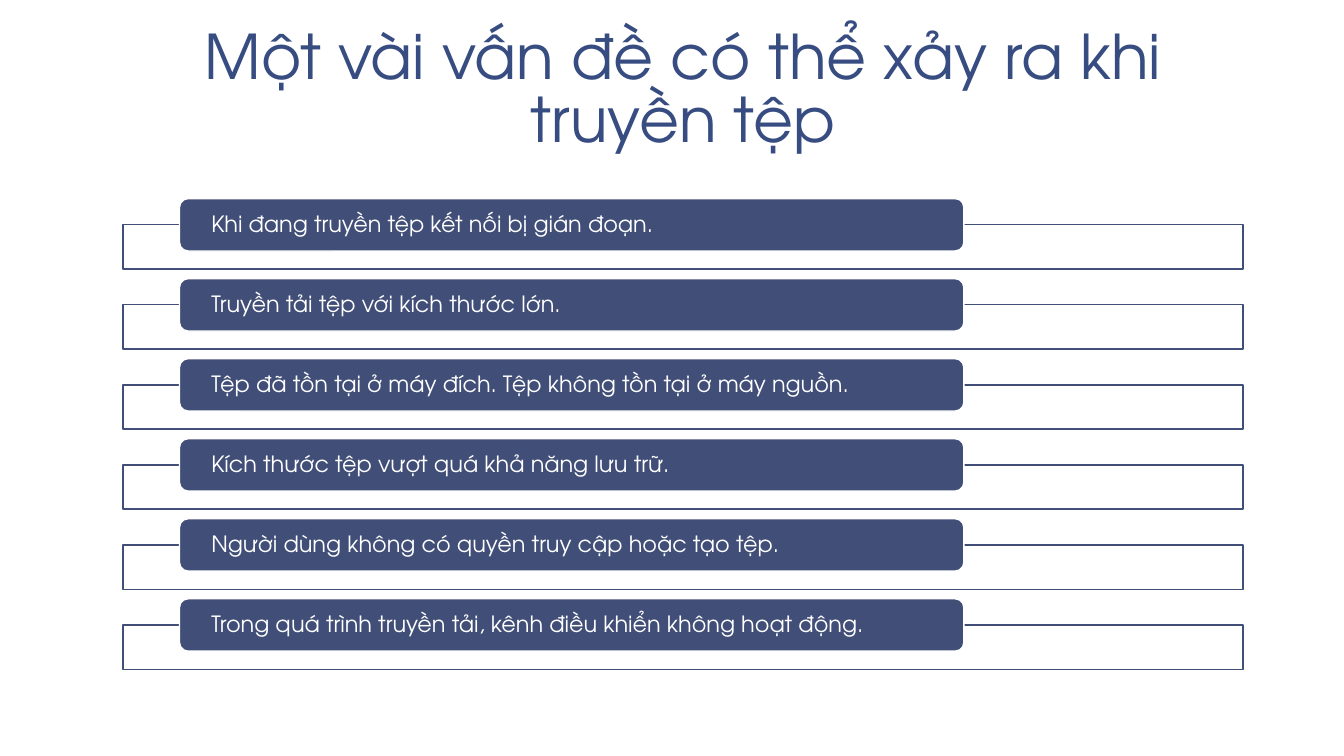
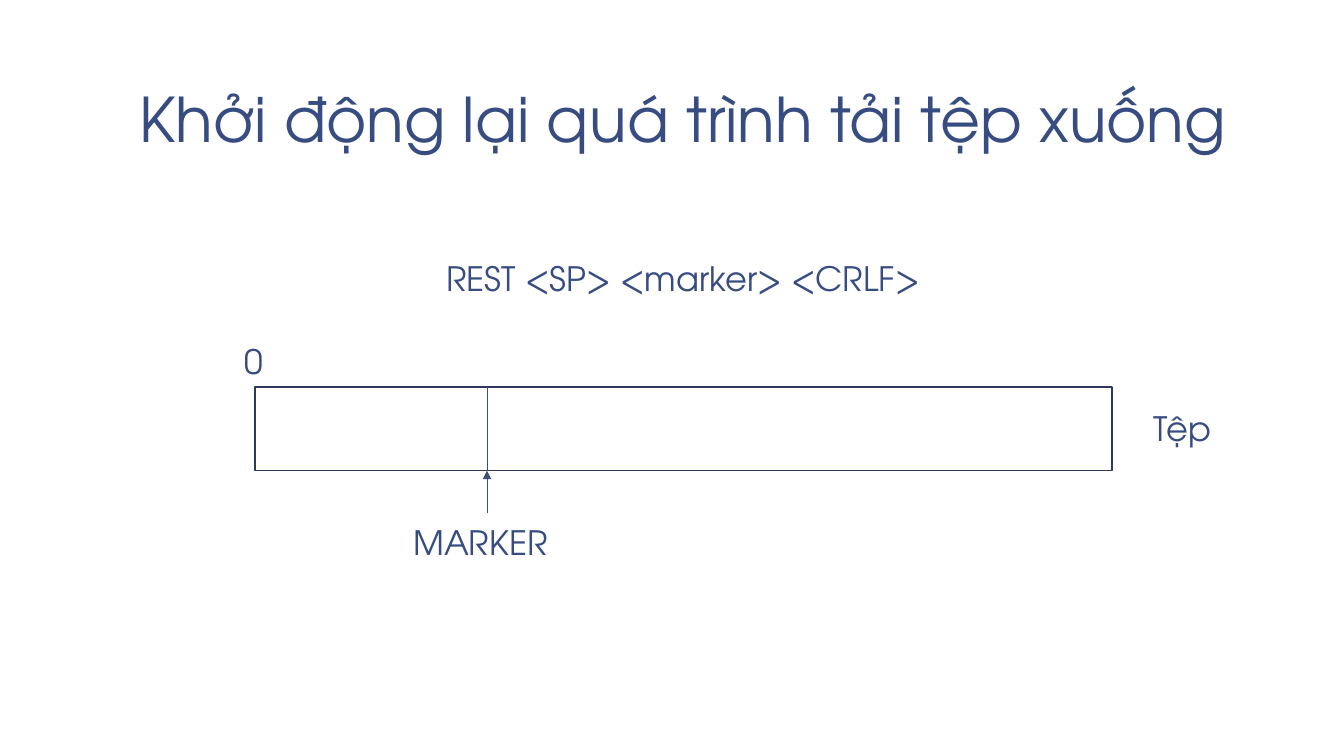
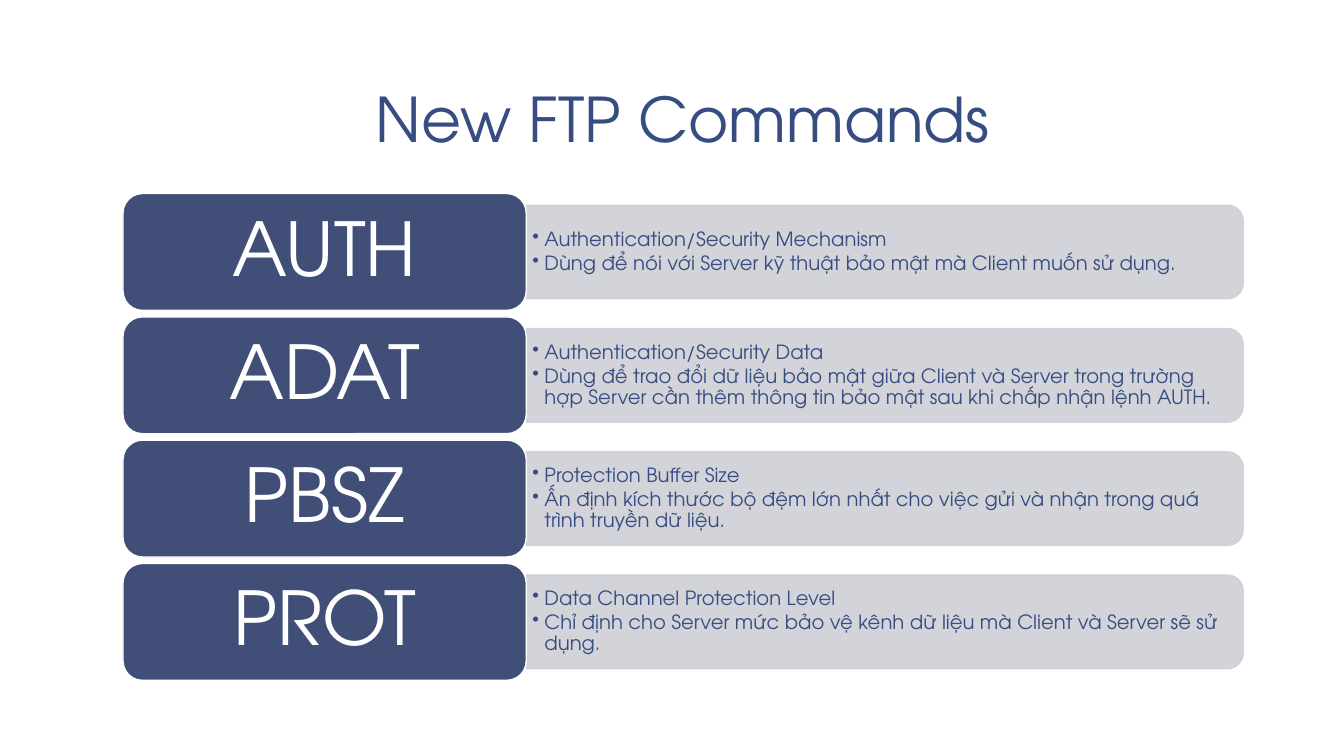
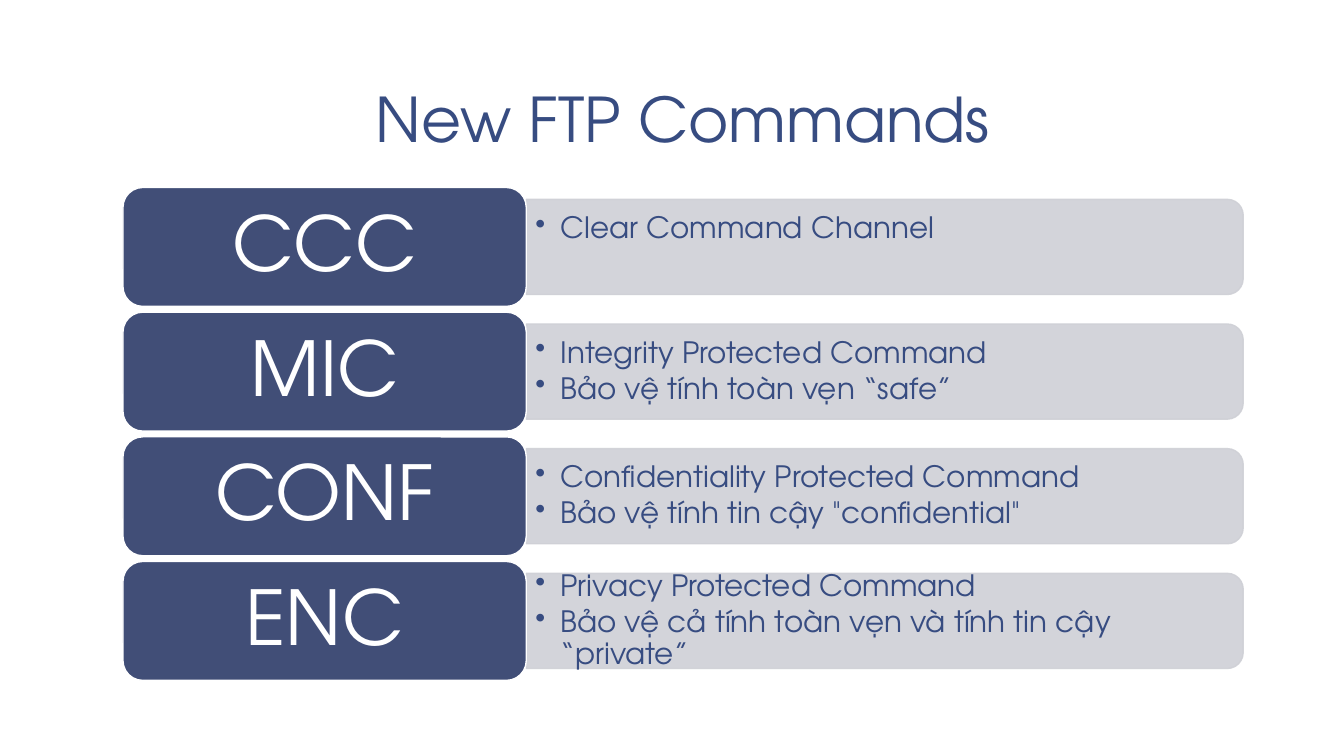
from dataclasses import dataclass

from lxml import etree
from pptx import Presentation
from pptx.dml.color import RGBColor
from pptx.enum.shapes import MSO_CONNECTOR, MSO_SHAPE
from pptx.enum.text import MSO_ANCHOR, MSO_AUTO_SIZE, PP_ALIGN
from pptx.oxml.ns import qn
from pptx.util import Inches, Pt

LEFT, CENTER = PP_ALIGN.LEFT, PP_ALIGN.CENTER
TOP, MIDDLE, BOTTOM = MSO_ANCHOR.TOP, MSO_ANCHOR.MIDDLE, MSO_ANCHOR.BOTTOM
RECTANGLE, ROUNDED = MSO_SHAPE.RECTANGLE, MSO_SHAPE.ROUNDED_RECTANGLE
TWO_ROUNDED = MSO_SHAPE.ROUND_2_SAME_RECTANGLE
STRAIGHT = MSO_CONNECTOR.STRAIGHT
NO_AUTOFIT = MSO_AUTO_SIZE.NONE
TITLE_ONLY = 5

ISSUES_TITLE = "Một vài vấn đề có thể xảy ra khi truyền tệp"
ISSUES = [
    "Khi đang truyền tệp kết nối bị gián đoạn.",
    "Truyền tải tệp với kích thước lớn.",
    "Tệp đã tồn tại ở máy đích. Tệp không tồn tại ở máy nguồn.",
    "Kích thước tệp vượt quá khả năng lưu trữ.",
    "Người dùng không có quyền truy cập hoặc tạo tệp.",
    "Trong quá trình truyền tải, kênh điều khiển không hoạt động.",
]

RESTART_TITLE = "Khởi động lại quá trình tải tệp xuống"
RESTART_LABELS = [
    ("REST <SP> <marker> <CRLF>", (1.22, 2.51, 11.11, 0.5), CENTER),
    ("MARKER", (4, 5.13, 1.67, 0.5), LEFT),
    ("0", (2.33, 3.33, 1.08, 0.5), LEFT),
    ("Tệp", (11.34, 4, 1.03, 0.5), LEFT),
]

COMMANDS_TITLE = "New FTP Commands"
SECURITY_COMMANDS = [
    ("AUTH", ["Authentication/Security Mechanism",
              "Dùng để nói với Server kỹ thuật bảo mật mà Client muốn sử dụng."]),
    ("ADAT", ["Authentication/Security Data",
              "Dùng để trao đổi dữ liệu bảo mật giữa Client và Server trong trường "
              "hợp Server cần thêm thông tin bảo mật sau khi chấp nhận lệnh AUTH."]),
    ("PBSZ", ["Protection Buffer Size",
              "Ấn định kích thước bộ đệm lớn nhất cho việc gửi và nhận trong quá "
              "trình truyền dữ liệu."]),
    ("PROT", ["Data Channel Protection Level",
              "Chỉ định cho Server mức bảo vệ kênh dữ liệu mà Client và Server sẽ sử dụng."]),
]
PROTECTED_COMMANDS = [
    ("CCC", ["Clear Command Channel"]),
    ("MIC", ["Integrity Protected Command", "Bảo vệ tính toàn vẹn “safe”"]),
    ("CONF", ["Confidentiality Protected Command",
              'Bảo vệ tính tin cậy "confidential"']),
    ("ENC", ["Privacy Protected Command",
             "Bảo vệ cả tính toàn vẹn và tính tin cậy “private”"]),
]


@dataclass(frozen=True)
class Theme:
    font: str = "TeX Gyre Adventor"
    ink: RGBColor = RGBColor(0x37, 0x4C, 0x81)
    accent: RGBColor = RGBColor(0x41, 0x4E, 0x77)
    outline: RGBColor = RGBColor(0x30, 0x3A, 0x58)
    panel: RGBColor = RGBColor(0xCF, 0xD0, 0xD6)
    white: RGBColor = RGBColor(0xFF, 0xFF, 0xFF)
    title_size: int = 44
    label_size: int = 24
    issue_size: int = 16


@dataclass(frozen=True)
class CommandStyle:
    top: float
    height: float
    name_size: int
    name_inset: float
    detail_size: int
    detail_insets: tuple
    indent: float
    line_pitch: float


THEME = Theme()
LEFT_EDGE, CONTENT_WIDTH = 1.22, 11.11
ROWS_BOTTOM = 6.75
NAME_WIDTH = 4
SECURITY_STYLE = CommandStyle(1.92, 1.16, 53, 0.22, 14, (0.06, 0.03), 0.12, 0.24)
PROTECTED_STYLE = CommandStyle(1.86, 1.18, 54, 0.23, 21, (0.09, 0.04), 0.25, 0.36)


def write(shape, lines, size, color, align=LEFT, anchor=TOP,
          insets=(0.1, 0.05), line_spacing=1.0, space_after=0):
    frame = shape.text_frame
    frame.text = "\n".join(lines)
    frame.word_wrap = True
    frame.auto_size = NO_AUTOFIT
    frame.vertical_anchor = anchor
    frame.margin_left = frame.margin_right = Inches(insets[0])
    frame.margin_top = frame.margin_bottom = Inches(insets[1])
    for para in frame.paragraphs:
        para.alignment = align
        para.line_spacing = line_spacing
        para.space_before = Pt(0)
        para.space_after = Pt(space_after)
        for span in para.runs:
            span.font.name = THEME.font
            span.font.size = Pt(size)
            span.font.color.rgb = color
    return frame


def add_page(deck, title):
    page = deck.slides.add_slide(deck.slide_layouts[TITLE_ONLY])
    box = page.shapes.title
    box.left, box.top = Inches(LEFT_EDGE), Inches(0.08)
    box.width, box.height = Inches(CONTENT_WIDTH), Inches(1.53)
    write(box, [title], THEME.title_size, THEME.ink, CENTER, BOTTOM, (0.13, 0.07), 0.85)
    return page


def add_box(page, kind, area, fill, line):
    box = page.shapes.add_shape(kind, *map(Inches, area))
    box.shadow.inherit = False
    box.fill.solid()
    box.fill.fore_color.rgb = fill
    box.line.color.rgb = line
    box.line.width = Pt(1)
    return box


def add_line(page, x, start, end, arrow=False):
    line = page.shapes.add_connector(STRAIGHT, Inches(x), Inches(start), Inches(x), Inches(end))
    line.line.color.rgb = THEME.accent
    line.line.width = Pt(0.5)
    properties = line._element.spPr
    if arrow:
        etree.SubElement(properties.find(qn("a:ln")), qn("a:tailEnd"), type="triangle")
    etree.SubElement(properties, qn("a:effectLst"))


def add_panel(page, left, middle, width, height):
    area = (left + (width - height) / 2, middle - width / 2, height, width)
    panel = add_box(page, TWO_ROUNDED, area, THEME.panel, THEME.panel)
    panel.rotation = 90
    for color in panel._element.spPr.iter(qn("a:srgbClr")):
        etree.SubElement(color, qn("a:alpha"), val="90000")


def add_bullets(frame, indent):
    for para in frame.paragraphs:
        properties = para._p.get_or_add_pPr()
        properties.set("marL", str(Inches(indent)))
        properties.set("indent", str(-Inches(indent)))
        etree.SubElement(properties, qn("a:buChar"), char="•")


def build_issues(deck):
    page = add_page(deck, ISSUES_TITLE)
    first, last = 1.97, 5.94
    pitch = (last - first) / (len(ISSUES) - 1)
    for index, issue in enumerate(ISSUES):
        top = first + index * pitch
        add_box(page, RECTANGLE, (LEFT_EDGE, top + 0.26, CONTENT_WIDTH, 0.44),
                THEME.white, THEME.accent)
        bar = add_box(page, ROUNDED, (1.78, top, 7.78, 0.52), THEME.accent, THEME.white)
        write(bar, [issue], THEME.issue_size, THEME.white, LEFT, MIDDLE, (0.29, 0), 0.9)


def build_restart(deck):
    page = add_page(deck, RESTART_TITLE)
    file_top, file_height, marker = 3.84, 0.83, 4.83
    file_bottom = file_top + file_height
    add_box(page, RECTANGLE, (2.53, file_top, 8.5, file_height), THEME.white, THEME.outline)
    add_line(page, marker, file_top, file_bottom)
    add_line(page, marker, file_bottom + 0.42, file_bottom, arrow=True)
    for text, area, align in RESTART_LABELS:
        label = page.shapes.add_textbox(*map(Inches, area))
        write(label, [text], THEME.label_size, THEME.ink, align)


def build_commands(deck, commands, style):
    page = add_page(deck, COMMANDS_TITLE)
    pitch = (ROWS_BOTTOM - style.top - style.height) / (len(commands) - 1)
    panel_left = LEFT_EDGE + NAME_WIDTH
    panel_width = CONTENT_WIDTH - NAME_WIDTH
    panel_height = 0.8 * style.height
    text_height = panel_height - 0.09
    most_lines = max(len(details) for name, details in commands)
    for index, (name, details) in enumerate(commands):
        top = style.top + index * pitch
        middle = top + style.height / 2
        add_panel(page, panel_left, middle, panel_width, panel_height)
        box = page.shapes.add_textbox(*map(Inches, (
            panel_left, middle - text_height / 2, panel_width - 0.05, text_height)))
        frame = write(box, details, style.detail_size, THEME.ink, LEFT, MIDDLE,
                      style.detail_insets, 0.9, round(0.15 * style.detail_size))
        frame.margin_bottom += Inches((most_lines - len(details)) * style.line_pitch)
        add_bullets(frame, style.indent)
        tile = add_box(page, ROUNDED, (LEFT_EDGE, top, NAME_WIDTH, style.height),
                       THEME.accent, THEME.white)
        write(tile, [name], style.name_size, THEME.white, CENTER, MIDDLE,
              (style.name_inset, style.name_inset / 2), 0.9)


def main():
    deck = Presentation()
    deck.slide_width, deck.slide_height = Inches(13.33), Inches(7.5)
    build_issues(deck)
    build_restart(deck)
    build_commands(deck, SECURITY_COMMANDS, SECURITY_STYLE)
    build_commands(deck, PROTECTED_COMMANDS, PROTECTED_STYLE)
    deck.save("out.pptx")


main()
